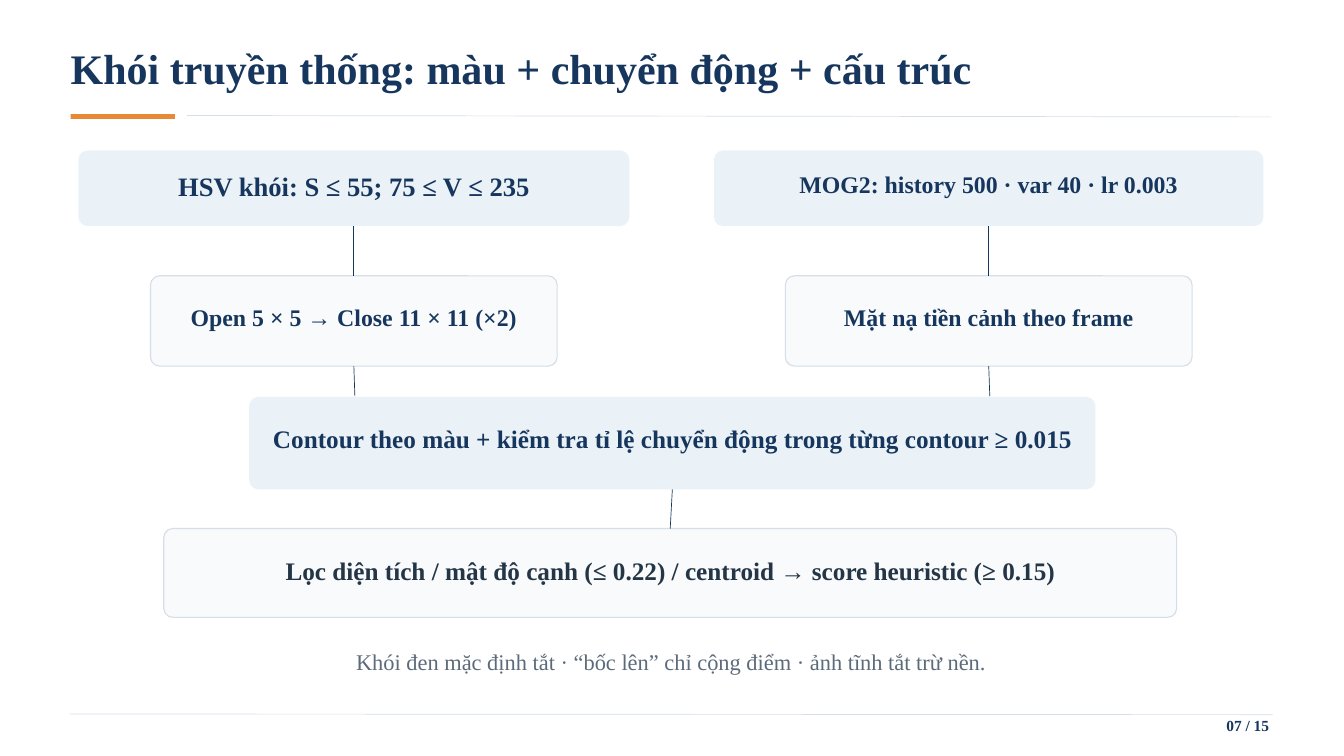
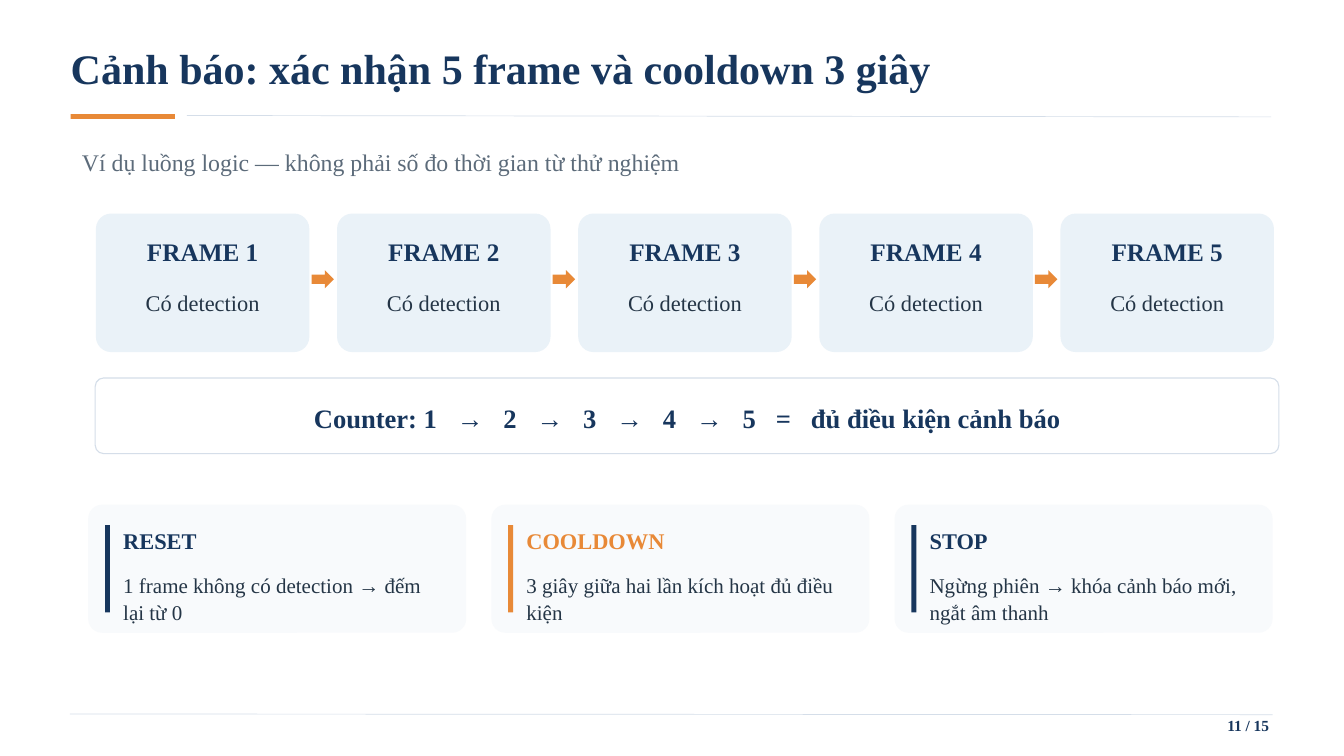
from lxml import etree
from pptx import Presentation
from pptx import util as u
from pptx.dml.color import RGBColor
from pptx.enum import shapes, text
from pptx.oxml import ns

NAVY, ORANGE, INK, GREY = "17365D", "E88937", "243546", "5C6B7A"
BLUE_TINT, PALE, WHITE, RULE = "EAF2F8", "F8FAFC", "FFFFFF", "D5DEE9"
FONT = "Times New Roman"
LINE_RATIO = 1.285
LEFT, CENTER, RIGHT = text.PP_ALIGN.LEFT, text.PP_ALIGN.CENTER, text.PP_ALIGN.RIGHT
PAGE_COUNT = 15

# Boxes are (left, top, width, height) in px, 96 to the inch.
TITLE_BOX = (101, 55, 1697, 78)
PAGE_BOX = (1715, 1021, 98, 30)
ACCENT_BOX = (101, 163, 149, 7)
SHARED_LINES = [((267, 165), (1816, 167)), ((100, 1020), (1818, 1021))]

FLOW_TITLE = "Khói truyền thống: màu + chuyển động + cấu trúc"
# name: (box, text, size, text colour, outlined, text top)
FLOW_CARDS = {
    "hsv": ((112, 215, 787, 108), "HSV khói: S ≤ 55; 75 ≤ V ≤ 235", 28.5, NAVY, False, 25),
    "mog2": ((1020, 215, 785, 108), "MOG2: history 500 · var 40 · lr 0.003", 25.5, NAVY, False, 25),
    "morphology": ((215, 394, 581, 129), "Open 5 × 5 → Close 11 × 11 (×2)", 25.5, NAVY, True, 35),
    "foreground": ((1122, 394, 581, 129), "Mặt nạ tiền cảnh theo frame", 25.5, NAVY, True, 35),
    "contour": ((356, 567, 1209, 132),
                "Contour theo màu + kiểm tra tỉ lệ chuyển động trong từng contour ≥ 0.015",
                27, NAVY, False, 35),
    "filter": ((234, 755, 1447, 127),
               "Lọc diện tích / mật độ cạnh (≤ 0.22) / centroid → score heuristic (≥ 0.15)",
               27, INK, True, 35),
}
# A target is a card name, or a point on the top edge of a wide card.
FLOW_LINKS = [
    ("hsv", "morphology"), ("mog2", "foreground"),
    ("morphology", (507, 566)), ("foreground", (1414, 566)),
    ("contour", "filter"),
]
FLOW_NOTE = "Khói đen mặc định tắt · “bốc lên” chỉ cộng điểm · ảnh tĩnh tắt trừ nền."
FLOW_NOTE_BOX = (135, 923, 1647, 41)

ALERT_TITLE = "Cảnh báo: xác nhận 5 frame và cooldown 3 giây"
ALERT_CAPTION = "Ví dụ luồng logic — không phải số đo thời gian từ thử nghiệm"
ALERT_CAPTION_BOX = (117, 208, 1693, 44)
FRAMES = [(f"FRAME {number}", "Có detection") for number in range(1, 6)]
COUNTER = ["Counter: 1", "→", "2", "→", "3", "→", "4", "→", "5", "=", "đủ điều kiện cảnh báo"]
COUNTER_BOX = (136, 540, 1691, 108)
RULES = [
    ("RESET", "1 frame không có detection → đếm lại từ 0", NAVY),
    ("COOLDOWN", "3 giây giữa hai lần kích hoạt đủ điều kiện", ORANGE),
    ("STOP", "Ngừng phiên → khóa cảnh báo mới, ngắt âm thanh", NAVY),
]


def px(value):
    return u.Emu(round(value * 9525))


def color(value):
    return RGBColor.from_string(value)


def spread(left, right, width, count):
    """Left edges of equal items that fill the span with equal gaps."""
    step = (right - left - width) / (count - 1)
    return [left + index * step for index in range(count)]


def write(frame, paragraphs, align=LEFT, insets=(0, 0, 0, 0)):
    """Fill a frame with (text or parts, size, colour, bold, space before) rows."""
    left, top, right, bottom = map(px, insets)
    settings = {
        "margin_left": left, "margin_top": top, "margin_right": right, "margin_bottom": bottom,
        "word_wrap": True, "auto_size": text.MSO_AUTO_SIZE.NONE,
        "vertical_anchor": text.MSO_ANCHOR.TOP,
    }
    for name, value in settings.items():
        setattr(frame, name, value)
    for index, (content, size, ink, bold, before) in enumerate(paragraphs):
        paragraph = frame.add_paragraph() if index else frame.paragraphs[0]
        paragraph.alignment = align
        paragraph.line_spacing = u.Pt(round(size * LINE_RATIO, 1))
        if before:
            paragraph.space_before = u.Pt(before)
        parts = [content] if isinstance(content, str) else content
        for position, part in enumerate(parts):
            if position:
                add_run(paragraph, " ", size, ink, bold, gap=size / 2)
            add_run(paragraph, part, size, ink, bold)


def add_run(paragraph, content, size, ink, bold, gap=0):
    run = paragraph.add_run()
    run.text = content
    for name, value in {"name": FONT, "size": u.Pt(size), "bold": bold}.items():
        setattr(run.font, name, value)
    run.font.color.rgb = color(ink)
    if gap:
        run._r.get_or_add_rPr().set("spc", str(round(gap * 100)))


def add_text(slide, box, content, size, ink, bold=False, align=LEFT):
    shape = slide.shapes.add_textbox(*map(px, box))
    write(shape.text_frame, [(content, size, ink, bold, 0)], align)


def add_block(slide, kind, box, fill, outline=None):
    shape = slide.shapes.add_shape(kind, *map(px, box))
    shape.shadow.inherit = False
    shape.fill.solid()
    shape.fill.fore_color.rgb = color(fill)
    if outline:
        shape.line.color.rgb = color(outline)
        shape.line.width = u.Pt(1.2)
    else:
        shape.line.fill.background()
    return shape


def add_card(slide, box, radius, fill, paragraphs, insets, outline=None, align=CENTER):
    shape = add_block(slide, shapes.MSO_SHAPE.ROUNDED_RECTANGLE, box, fill, outline)
    shape.adjustments[0] = radius / min(box[2:])
    # A rounded rectangle already keeps its text this far from its edges.
    corner = 0.29 * radius
    write(shape.text_frame, paragraphs, align, [max(inset - corner, 0) for inset in insets])
    return shape


def add_line(slide, start, end, ink):
    line = slide.shapes.add_connector(shapes.MSO_CONNECTOR.STRAIGHT, *map(px, (*start, *end)))
    line.line.color.rgb = color(ink)
    line.line.width = u.Pt(0.75)
    etree.SubElement(line._element.spPr, ns.qn("a:effectLst"))
    return line


def add_slide(presentation, title, page):
    slide = presentation.slides.add_slide(presentation.slide_layouts[5])
    heading = slide.shapes.title
    for name, value in zip(("left", "top", "width", "height"), TITLE_BOX):
        setattr(heading, name, px(value))
    write(heading.text_frame, [(title, 45, NAVY, True, 0)])
    add_block(slide, shapes.MSO_SHAPE.RECTANGLE, ACCENT_BOX, ORANGE)
    for start, end in SHARED_LINES:
        add_line(slide, start, end, RULE)
    add_text(slide, PAGE_BOX, f"{page:02} / {PAGE_COUNT}", 16.5, NAVY, True, RIGHT)
    return slide


def build_flow(presentation):
    slide = add_slide(presentation, FLOW_TITLE, 7)
    cards = {}
    for name, (box, label, size, ink, outlined, top) in FLOW_CARDS.items():
        fill, outline = (PALE, RULE) if outlined else (BLUE_TINT, None)
        cards[name] = add_card(slide, box, 13, fill, [(label, size, ink, True, 0)],
                               (0, top, 0, 0), outline)
    for source, target in FLOW_LINKS:
        joined = target in cards
        line = add_line(slide, (0, 0), (0, 0) if joined else target, NAVY)
        line.begin_connect(cards[source], 2)
        if joined:
            line.end_connect(cards[target], 0)
    add_text(slide, FLOW_NOTE_BOX, FLOW_NOTE, 24, GREY, align=CENTER)


def build_alert(presentation):
    slide = add_slide(presentation, ALERT_TITLE, 11)
    add_text(slide, ALERT_CAPTION_BOX, ALERT_CAPTION, 25.5, GREY)

    width = 305
    for index, left in enumerate(spread(137, 1820, width, len(FRAMES))):
        heading, status = FRAMES[index]
        add_card(slide, (left, 305, width, 198), 22, BLUE_TINT,
                 [(heading, 27, NAVY, True, 0), (status, 24, INK, False, 22)], (0, 30, 0, 0))
        if index < len(FRAMES) - 1:
            add_block(slide, shapes.MSO_SHAPE.RIGHT_ARROW, (left + width + 3, 386, 32, 26), ORANGE)

    add_card(slide, COUNTER_BOX, 12, WHITE, [(COUNTER, 28.5, NAVY, True, 0)],
             (0, 31, 0, 0), RULE)

    top, width = 721, 540
    lefts = spread(126, 1818, width, len(RULES))
    for left, (heading, detail, accent) in zip(lefts, RULES):
        add_card(slide, (left, top, width, 183), 20, PALE,
                 [(heading, 24, accent, True, 0), (detail, 22.5, INK, False, 18)],
                 (50, 29, 29, 0), align=LEFT)
        add_block(slide, shapes.MSO_SHAPE.RECTANGLE, (left + 24, top + 29, 7, 125), accent)


def main():
    presentation = Presentation()
    presentation.slide_width, presentation.slide_height = px(1920), px(1080)
    build_flow(presentation)
    build_alert(presentation)
    presentation.save("out.pptx")


if __name__ == "__main__":
    main()
